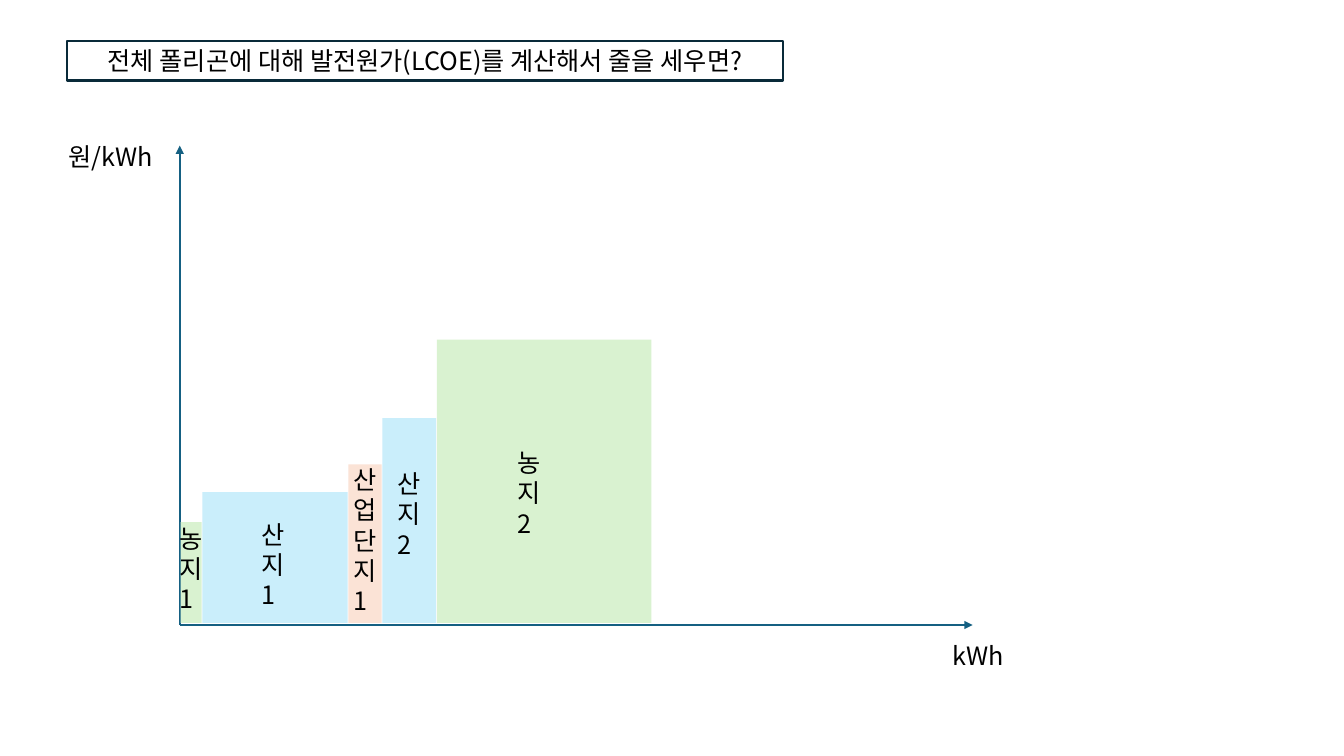
from dataclasses import dataclass

from lxml import etree
from pptx import Presentation
from pptx import util as u
from pptx.dml.color import RGBColor
from pptx.enum import shapes, text
from pptx.oxml import ns


@dataclass(frozen=True)
class Theme:
    font: str = "Noto Sans CJK KR"
    text_size: float = 18
    line_width: float = 1.5
    ink: str = "000000"
    frame: str = "092A39"
    axis: str = "156082"
    farmland: str = "D9F2D0"
    forest: str = "CAEEFB"
    industry: str = "FBE3D6"


def write(shape, words, theme, align=text.PP_ALIGN.LEFT, anchor=text.MSO_ANCHOR.TOP,
          grow=False):
    frame = shape.text_frame
    frame.word_wrap = True
    frame.vertical_anchor = anchor
    if grow:
        frame.auto_size = text.MSO_AUTO_SIZE.SHAPE_TO_FIT_TEXT
    paragraph = frame.paragraphs[0]
    paragraph.alignment = align
    run = paragraph.add_run()
    run.text = words
    run.font.name = theme.font
    run.font.size = u.Pt(theme.text_size)
    run.font.color.rgb = RGBColor.from_string(theme.ink)
    east_asian = etree.SubElement(run.font._element, ns.qn("a:ea"))
    east_asian.set("typeface", theme.font)


class CostCurveSlide:
    def __init__(self, slide, theme):
        self.slide = slide
        self.theme = theme

    def rectangle(self, left, top, width, height, fill=None, line=None):
        shape = self.slide.shapes.add_shape(
            shapes.MSO_SHAPE.RECTANGLE, u.Cm(left), u.Cm(top), u.Cm(width), u.Cm(height))
        shape.shadow.inherit = False
        if fill:
            shape.fill.solid()
            shape.fill.fore_color.rgb = RGBColor.from_string(fill)
        else:
            shape.fill.background()
        if line:
            shape.line.color.rgb = RGBColor.from_string(line)
            shape.line.width = u.Pt(self.theme.line_width)
        else:
            shape.line.fill.background()
        return shape

    def title(self, words, left, top, width, height):
        box = self.rectangle(left, top, width, height, line=self.theme.frame)
        write(box, words, self.theme, text.PP_ALIGN.CENTER, text.MSO_ANCHOR.MIDDLE)

    def axis(self, start, end):
        points = [u.Cm(value) for value in (*start, *end)]
        connector = self.slide.shapes.add_connector(
            shapes.MSO_CONNECTOR.STRAIGHT, *points)
        connector.line.color.rgb = RGBColor.from_string(self.theme.axis)
        connector.line.width = u.Pt(self.theme.line_width)
        arrowhead = etree.SubElement(connector.line._get_or_add_ln(), ns.qn("a:tailEnd"))
        arrowhead.set("type", "triangle")
        etree.SubElement(connector._element.spPr, ns.qn("a:effectLst"))

    def label(self, words, left, top, width, height):
        box = self.slide.shapes.add_textbox(
            u.Cm(left), u.Cm(top), u.Cm(width), u.Cm(height))
        write(box, words, self.theme, grow=True)

    def stacked_label(self, words, left, top):
        """Place a label so narrow that each character takes its own line."""
        self.label(words, left, top, 0.89, 0.25 + 0.77 * len(words))


def main():
    theme = Theme()
    presentation = Presentation()
    presentation.slide_width = u.Cm(33.87)
    presentation.slide_height = u.Cm(19.05)
    slide = presentation.slides.add_slide(presentation.slide_layouts[6])
    chart = CostCurveSlide(slide, theme)

    chart.title("전체 폴리곤에 대해 발전원가(LCOE)를 계산해서 줄을 세우면?",
                1.68, 1.04, 18.06, 0.99)

    axis_origin = (4.53, 15.75)
    chart.axis(axis_origin, (4.53, 3.67))
    chart.axis(axis_origin, (24.51, 15.75))

    # name, fill, bar width, bar height, label left, label top
    sites = [
        ("농지1", theme.farmland, 0.53, 2.54, 4.27, 13.06),
        ("산지1", theme.forest, 3.66, 3.3, 6.35, 12.95),
        ("산업단지1", theme.industry, 0.84, 4.0, 8.66, 11.58),
        ("산지2", theme.forest, 1.35, 5.16, 9.78, 11.68),
        ("농지2", theme.farmland, 5.41, 7.14, 12.78, 11.15),
    ]
    bar_left, bar_bottom, bar_gap = 4.55, 15.7, 0.02
    for _, fill, width, height, _, _ in sites:
        chart.rectangle(bar_left, bar_bottom - height, width, height, fill=fill)
        bar_left += width + bar_gap

    chart.label("원/kWh", 1.47, 3.43, 2.92, 1.02)
    chart.label("kWh", 23.75, 16, 2.92, 1.02)
    for name, _, _, _, left, top in sites:
        chart.stacked_label(name, left, top)

    presentation.save("out.pptx")


if __name__ == "__main__":
    main()
